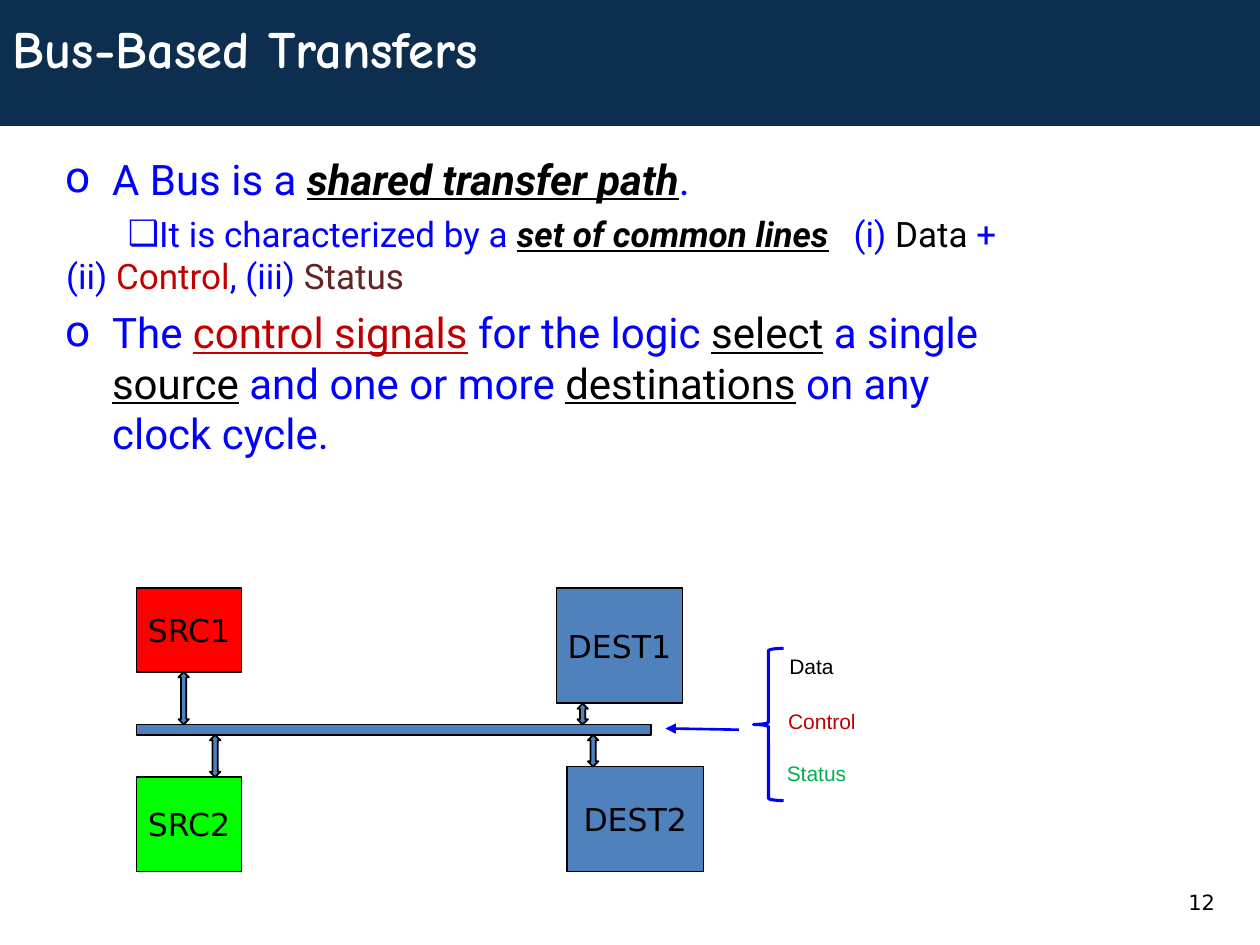
from lxml import etree
from pptx import Presentation
from pptx import util as u
from pptx.dml.color import RGBColor
from pptx.enum import shapes, text
from pptx.oxml.ns import qn

PX = 9525  # 96 px to the inch


class Theme:
    navy, white, black = "0D2E4F", "FFFFFF", "000000"
    blue, steel, red, lime = "0000FF", "4F81BD", "FF0000", "00FF00"
    crimson, maroon, green = "C00000", "632523", "00B050"
    title_font, body_font, block_font, label_font = "Comic Neue", "Roboto", "DejaVu Sans", "Arial"
    title_size, body_size, sub_size, block_size, label_size = 30, 24, 20, 18, 12


T = Theme
TITLE = "Bus-Based Transfers"
PAGE = "12"

# Runs: text, colour, style letters (b bold, i italic, u underlined)
POINTS = [
    dict(bullet="o", size=T.body_size, margin=36, indent=-36, before=0, runs=[
        ("A Bus is a ", T.blue, ""), ("shared transfer path", T.black, "biu"), (".", T.blue, "")]),
    dict(bullet="❑", size=T.sub_size, margin=1, indent=47, before=5, tab=601, runs=[
        ("It is characterized by a ", T.blue, ""), ("set of common lines", T.black, "biu"),
        ("\t(i) ", T.blue, ""), ("Data", T.black, ""), (" + (ii) ", T.blue, ""),
        ("Control", T.crimson, ""), (", (iii) ", T.blue, ""), ("Status", T.maroon, "")]),
    dict(bullet="o", size=T.body_size, margin=36, indent=-36, before=6, runs=[
        ("The ", T.blue, ""), ("control signals", T.crimson, "u"),
        (" for the logic ", T.blue, ""), ("select", T.black, "u"),
        (" a single ", T.blue, ""), ("source", T.black, "u"),
        (" and one or more ", T.blue, ""), ("destinations", T.black, "u"),
        (" on any clock cycle.", T.blue, "")]),
]

BUS = (104, 552, 392, 8)
# Name, fill, box, left edge of the arrow that joins it to the bus
BLOCKS = [
    ("SRC1", T.red, (104, 448, 80, 64), 136),
    ("SRC2", T.lime, (104, 592, 80, 72), 160),
    ("DEST1", T.steel, (424, 448, 96, 88), 440),
    ("DEST2", T.steel, (432, 584, 104, 80), 448),
]
ARROW_WIDTH = 8
LINES = [
    ("Data", T.black, (592, 493, 60, 29)),
    ("Control", T.crimson, (591, 535, 80, 29)),
    ("Status", T.green, (590, 575, 81, 29)),
]
BRACE = (574, 494, 23, 116)
POINTER = (563, 556, 507, 555)


def emu(box):
    return [n * PX for n in box]


def rgb(colour):
    return RGBColor.from_string(colour)


def style(run, font, size, colour, marks=""):
    run.font.name, run.font.size = font, u.Pt(size)
    run.font.color.rgb = rgb(colour)
    run.font.bold, run.font.italic, run.font.underline = (m in marks for m in "biu")


def add_preset(slide, kind, box, fill=None, line=None, width=1):
    shape = slide.shapes.add_shape(kind, *emu(box))
    shape.shadow.inherit = False
    if fill:
        shape.fill.solid()
        shape.fill.fore_color.rgb = rgb(fill)
    else:
        shape.fill.background()
    if line:
        shape.line.color.rgb = rgb(line)
        shape.line.width = u.Pt(width)
    else:
        shape.line.fill.background()
    return shape


def add_label(slide, words, box, font, colour):
    frame = slide.shapes.add_textbox(*emu(box)).text_frame
    frame.word_wrap = True
    frame.text = words
    style(frame.paragraphs[0].runs[0], font, T.label_size, colour)


def add_header(slide):
    bar = add_preset(slide, shapes.MSO_SHAPE.RECTANGLE, (0, 0, 960, 96), T.navy)
    slide.shapes._spTree.insert(2, bar._element)  # behind the title
    title = slide.shapes.title
    title.left, title.top, title.width, title.height = emu((0, 0, 960, 72))
    title.text_frame.text = TITLE
    title.text_frame.vertical_anchor = text.MSO_ANCHOR.MIDDLE
    heading = title.text_frame.paragraphs[0]
    heading.alignment = text.PP_ALIGN.LEFT
    style(heading.runs[0], T.title_font, T.title_size, T.white, "b")


def set_bullet(paragraph, point):
    props = paragraph._p.get_or_add_pPr()
    props.set("marL", str(point["margin"] * PX))
    props.set("indent", str(point["indent"] * PX))
    colour = etree.SubElement(props, qn("a:buClr"))
    etree.SubElement(colour, qn("a:srgbClr"), val=T.blue)
    etree.SubElement(props, qn("a:buFont"), typeface=T.block_font)
    etree.SubElement(props, qn("a:buChar"), char=point["bullet"])
    if "tab" in point:
        tabs = etree.SubElement(props, qn("a:tabLst"))
        etree.SubElement(tabs, qn("a:tab"), pos=str(point["tab"] * PX), algn="l")


def add_points(slide):
    frame = slide.shapes.add_textbox(*emu((40, 112, 760, 248))).text_frame
    frame.word_wrap = True
    for i, point in enumerate(POINTS):
        paragraph = frame.add_paragraph() if i else frame.paragraphs[0]
        set_bullet(paragraph, point)
        paragraph.space_before = u.Pt(point["before"])
        for words, colour, marks in point["runs"]:
            run = paragraph.add_run()
            run.text = words
            style(run, T.body_font, point["size"], colour, marks)


def add_block(slide, name, fill, box):
    block = add_preset(slide, shapes.MSO_SHAPE.RECTANGLE, box, fill, T.black)
    frame = block.text_frame
    frame.word_wrap = False
    frame.vertical_anchor = text.MSO_ANCHOR.MIDDLE
    frame.text = name
    frame.paragraphs[0].alignment = text.PP_ALIGN.CENTER
    style(frame.paragraphs[0].runs[0], T.block_font, T.block_size, T.black)


def add_bus_arrow(slide, left, block):
    """Fill the gap between a block and the bus, above or below it."""
    block_bottom, bus_bottom = block[1] + block[3], BUS[1] + BUS[3]
    top, bottom = (block_bottom, BUS[1]) if block[1] < BUS[1] else (bus_bottom, block[1])
    height = bottom - top
    arrow = add_preset(slide, shapes.MSO_SHAPE.UP_DOWN_ARROW,
                       (left, top, ARROW_WIDTH, height), T.steel, T.black)
    arrow.adjustments[0] = 0.2 * height / ARROW_WIDTH  # head length
    arrow.adjustments[1] = 0.5  # shaft width


def add_pointer(slide):
    pointer = slide.shapes.add_connector(shapes.MSO_CONNECTOR.STRAIGHT, *emu(POINTER))
    pointer.line.color.rgb = rgb(T.blue)
    pointer.line.width = u.Pt(1.5)
    etree.SubElement(pointer.line._get_or_add_ln(), qn("a:tailEnd"), type="triangle")
    etree.SubElement(pointer._element.spPr, qn("a:effectLst"))


def main():
    deck = Presentation()
    deck.slide_width, deck.slide_height = emu((960, 720))
    slide = deck.slides.add_slide(deck.slide_layouts[5])
    add_header(slide)
    add_label(slide, PAGE, (896, 673, 64, 48), T.block_font, T.black)
    add_points(slide)
    for name, fill, box, _ in BLOCKS:
        add_block(slide, name, fill, box)
    add_preset(slide, shapes.MSO_SHAPE.RECTANGLE, BUS, T.steel, T.black)
    for _, _, box, arrow_left in BLOCKS:
        add_bus_arrow(slide, arrow_left, box)
    for name, colour, box in LINES:
        add_label(slide, name, box, T.label_font, colour)
    brace = add_preset(slide, shapes.MSO_SHAPE.LEFT_BRACE, BRACE, line=T.blue, width=1.75)
    brace.adjustments[0] = 0.08
    add_pointer(slide)
    deck.save("out.pptx")


if __name__ == "__main__":
    main()
